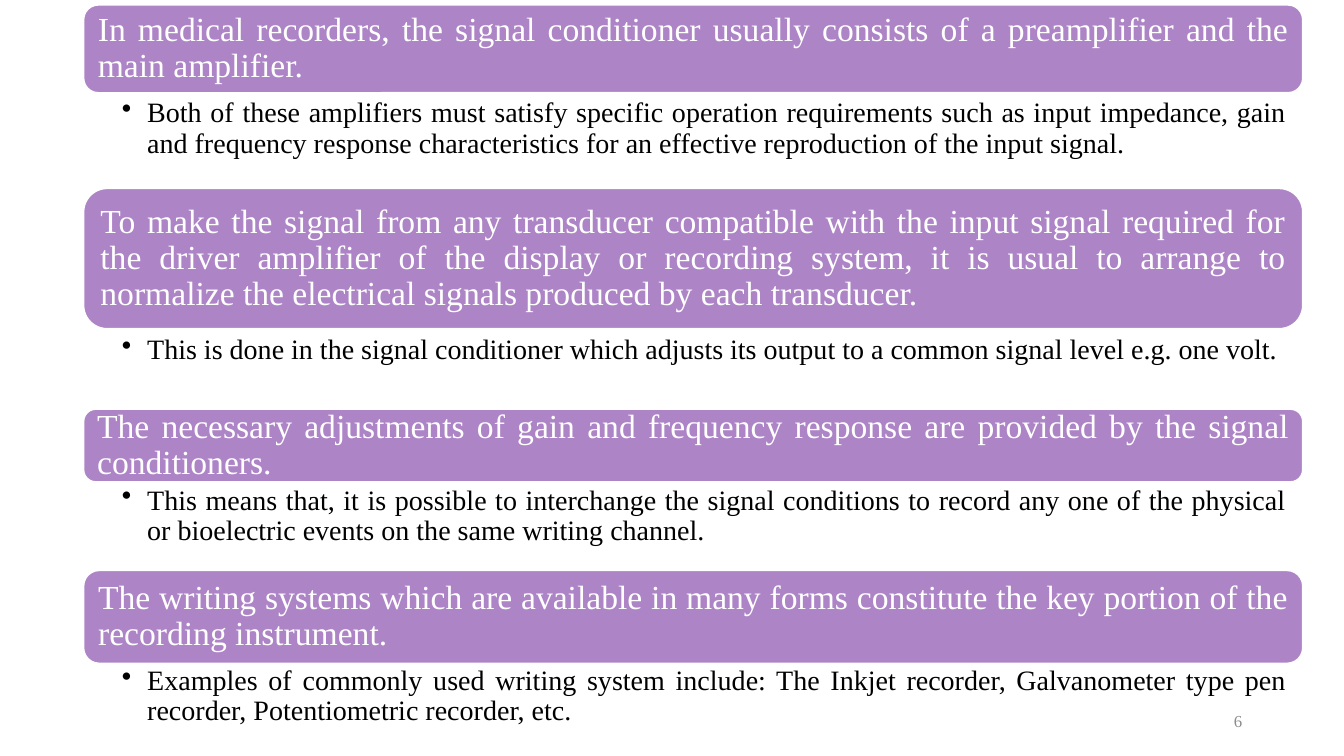
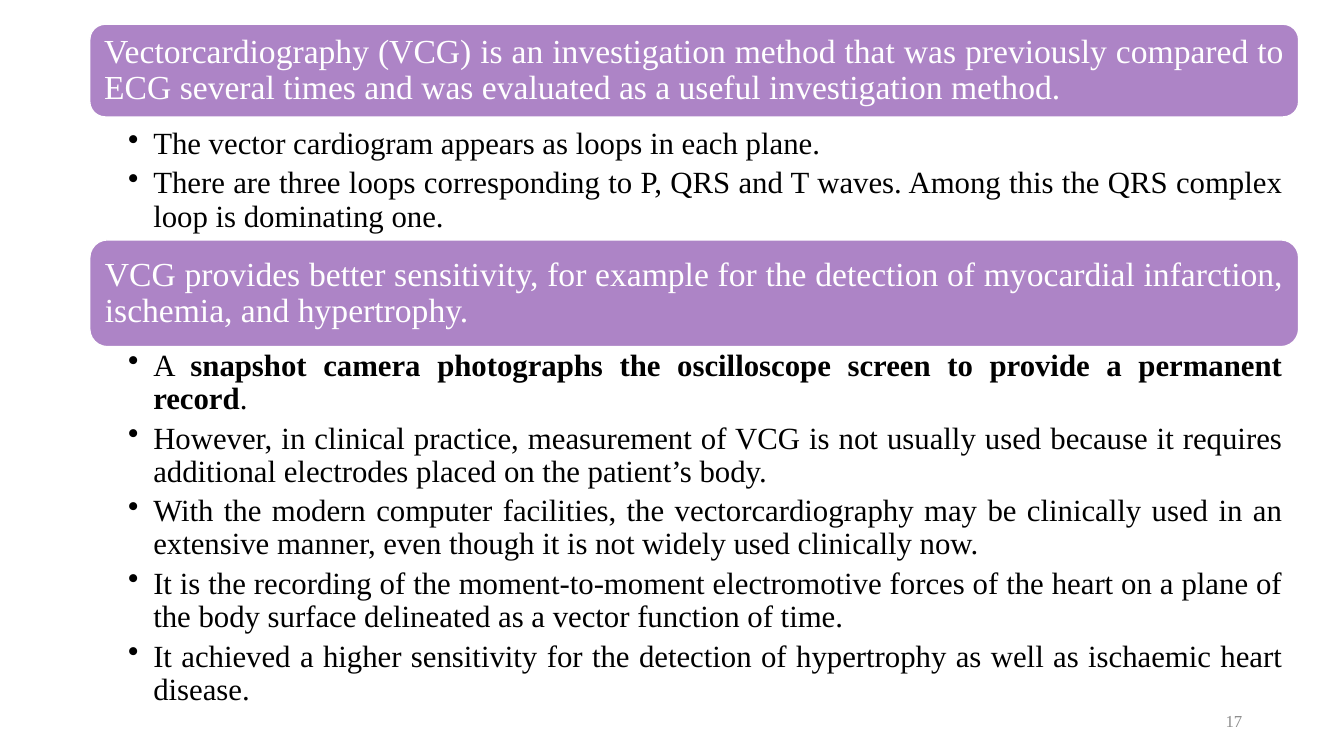
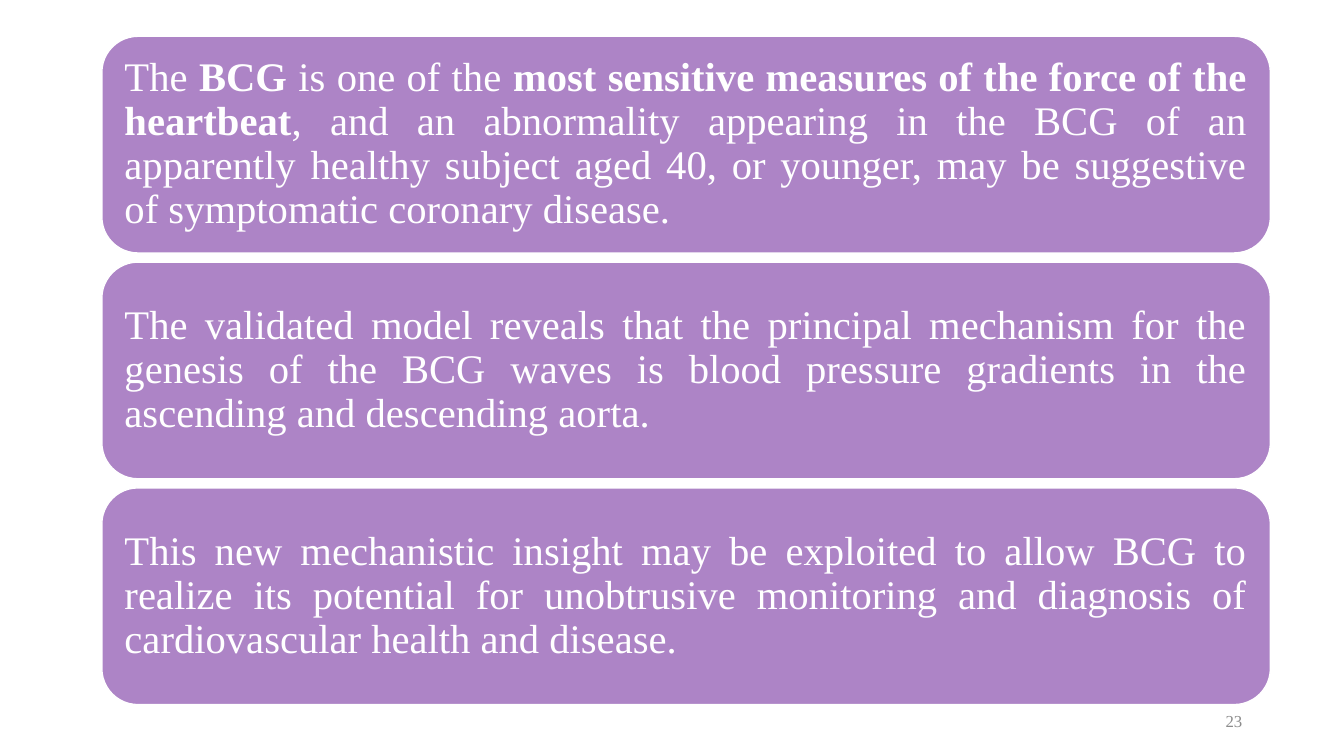
"""Builds three slides of rounded banners with bulleted details."""
import dataclasses

import lxml.etree
import pptx
import pptx.dml.color
import pptx.enum.shapes
import pptx.enum.text
import pptx.oxml.ns
import pptx.util

PX = 9144


@dataclasses.dataclass(frozen=True)
class Theme:
    font: str = "Times New Roman"
    banner: str = "AD84C6"
    on_banner: str = "FFFFFF"
    body: str = "000000"
    muted: str = "8C8C8C"
    banner_size: int = 24
    statement_size: int = 29
    detail_size: int = 20
    large_detail_size: int = 22
    number_size: int = 12
    line_spacing: float = 0.9
    detail_gap: float = 0.2


class Deck:
    def __init__(self, theme):
        self.theme = theme
        self.presentation = pptx.Presentation()
        self.presentation.slide_width = 1333 * PX
        self.presentation.slide_height = 750 * PX
        self.slide = None

    def new_slide(self, number):
        self.slide = self.presentation.slides.add_slide(self.presentation.slide_layouts[6])
        frame = self.text_box(942, 695, 300, 40, (10, 5, 10, 5))
        frame.vertical_anchor = pptx.enum.text.MSO_ANCHOR.MIDDLE
        self.set_text(frame.paragraphs[0], number, self.theme.number_size, self.theme.muted,
                      pptx.enum.text.PP_ALIGN.RIGHT)

    def text_box(self, left, top, width, height, insets):
        box = self.slide.shapes.add_textbox(left * PX, top * PX, width * PX, height * PX)
        return self.prepare(box.text_frame, insets)

    def prepare(self, frame, insets):
        frame.word_wrap = True
        frame.margin_left, frame.margin_top, frame.margin_right, frame.margin_bottom = (
            inset * PX for inset in insets)
        return frame

    def set_text(self, paragraph, text, size, color, alignment=pptx.enum.text.PP_ALIGN.JUSTIFY):
        """Fill a paragraph, with the parts between double asterisks in bold."""
        paragraph.alignment = alignment
        paragraph.font.name = self.theme.font
        paragraph.font.size = pptx.util.Pt(size)
        paragraph.font.color.rgb = pptx.dml.color.RGBColor.from_string(color)
        for index, part in enumerate(text.split("**")):
            run = paragraph.add_run()
            run.text = part
            if index % 2:
                run.font.bold = True

    def banner(self, left, top, width, height, text, size, inset=10):
        banner = self.slide.shapes.add_shape(
            pptx.enum.shapes.MSO_SHAPE.ROUNDED_RECTANGLE,
            left * PX, top * PX, width * PX, height * PX)
        banner.shadow.inherit = False
        banner.fill.solid()
        banner.fill.fore_color.rgb = pptx.dml.color.RGBColor.from_string(self.theme.banner)
        banner.line.color.rgb = pptx.dml.color.RGBColor.from_string(self.theme.on_banner)
        banner.line.width = pptx.util.Pt(1)
        frame = self.prepare(banner.text_frame, (inset,) * 4)
        frame.vertical_anchor = pptx.enum.text.MSO_ANCHOR.MIDDLE
        paragraph = frame.paragraphs[0]
        paragraph.line_spacing = self.theme.line_spacing
        self.set_text(paragraph, text, size, self.theme.on_banner)

    def details(self, left, top, width, height, items, size):
        frame = self.text_box(left, top, width, height, (38, 3, 16, 3))
        for index, item in enumerate(items):
            paragraph = frame.add_paragraph() if index else frame.paragraphs[0]
            paragraph.line_spacing = self.theme.line_spacing
            paragraph.space_after = pptx.util.Pt(size * self.theme.detail_gap)
            self.bullet(paragraph)
            self.set_text(paragraph, item, size, self.theme.body)

    def bullet(self, paragraph, indent=25):
        properties = paragraph._p.get_or_add_pPr()
        properties.set("marL", str(indent * PX))
        properties.set("indent", str(-indent * PX))
        mark = lxml.etree.SubElement(properties, pptx.oxml.ns.qn("a:buChar"))
        mark.set("char", "•")

    def sections(self, left, width, sections, detail_size):
        for top, height, heading, details_top, details_height, items in sections:
            self.banner(left, top, width, height, heading, self.theme.banner_size)
            self.details(left, details_top, width, details_height, items, detail_size)


CONDITIONER_SECTIONS = [
    (5, 87, "In medical recorders, the signal conditioner usually consists of a preamplifier "
     "and the main amplifier.",
     95, 114, ["Both of these amplifiers must satisfy specific operation requirements such as "
               "input impedance, gain and frequency response characteristics for an effective "
               "reproduction of the input signal."]),
    (187, 139, "To make the signal from any transducer compatible with the input signal required "
     "for the driver amplifier of the display or recording system, it is usual to arrange to "
     "normalize the electrical signals produced by each transducer.",
     330, 61, ["This is done in the signal conditioner which adjusts its output to a common "
               "signal level e.g. one volt."]),
    (406, 72, "The necessary adjustments of gain and frequency response are provided by the "
     "signal conditioners.",
     479, 88, ["This means that, it is possible to interchange the signal conditions to record "
               "any one of the physical or bioelectric events on the same writing channel."]),
    (566, 92, "The writing systems which are available in many forms constitute the key portion "
     "of the recording instrument.",
     658, 87, ["Examples of commonly used writing system include: The Inkjet recorder, "
               "Galvanometer type pen recorder, Potentiometric recorder, etc."]),
]

VCG_SECTIONS = [
    (24, 92, "Vectorcardiography (VCG) is an investigation method that was previously compared "
     "to ECG several times and was evaluated as a useful investigation method.",
     124, 106, ["The vector cardiogram appears as loops in each plane.",
                "There are three loops corresponding to P, QRS and T waves. Among this the QRS "
                "complex loop is dominating one."]),
    (238, 106, "VCG provides better sensitivity, for example for the detection of myocardial "
     "infarction, ischemia, and hypertrophy.",
     344, 355, ["A **snapshot camera photographs the oscilloscope screen to provide a permanent "
                "record**.",
                "However, in clinical practice, measurement of VCG is not usually used because "
                "it requires additional electrodes placed on the patient’s body.",
                "With the modern computer facilities, the vectorcardiography may be clinically "
                "used in an extensive manner, even though it is not widely used clinically now.",
                "It is the recording of the moment-to-moment electromotive forces of the heart "
                "on a plane of the body surface delineated as a vector function of time.",
                "It achieved a higher sensitivity for the detection of hypertrophy as well as "
                "ischaemic heart disease."]),
]

BCG_STATEMENTS = [
    "The **BCG** is one of the **most sensitive measures of the force of the heartbeat**, and an "
    "abnormality appearing in the BCG of an apparently healthy subject aged 40, or younger, may "
    "be suggestive of symptomatic coronary disease.",
    "The validated model reveals that the principal mechanism for the genesis of the BCG waves "
    "is blood pressure gradients in the ascending and descending aorta.",
    "This new mechanistic insight may be exploited to allow BCG to realize its potential for "
    "unobtrusive monitoring and diagnosis of cardiovascular health and disease.",
]


def main():
    theme = Theme()
    deck = Deck(theme)

    deck.new_slide("6")
    deck.sections(83, 1209, CONDITIONER_SECTIONS, theme.detail_size)

    deck.new_slide("17")
    deck.sections(89, 1199, VCG_SECTIONS, theme.large_detail_size)

    deck.new_slide("23")
    for row, statement in enumerate(BCG_STATEMENTS):
        deck.banner(101, 36 + row * 224, 1159, 215, statement, theme.statement_size, inset=12)

    deck.presentation.save("out.pptx")


if __name__ == "__main__":
    main()
